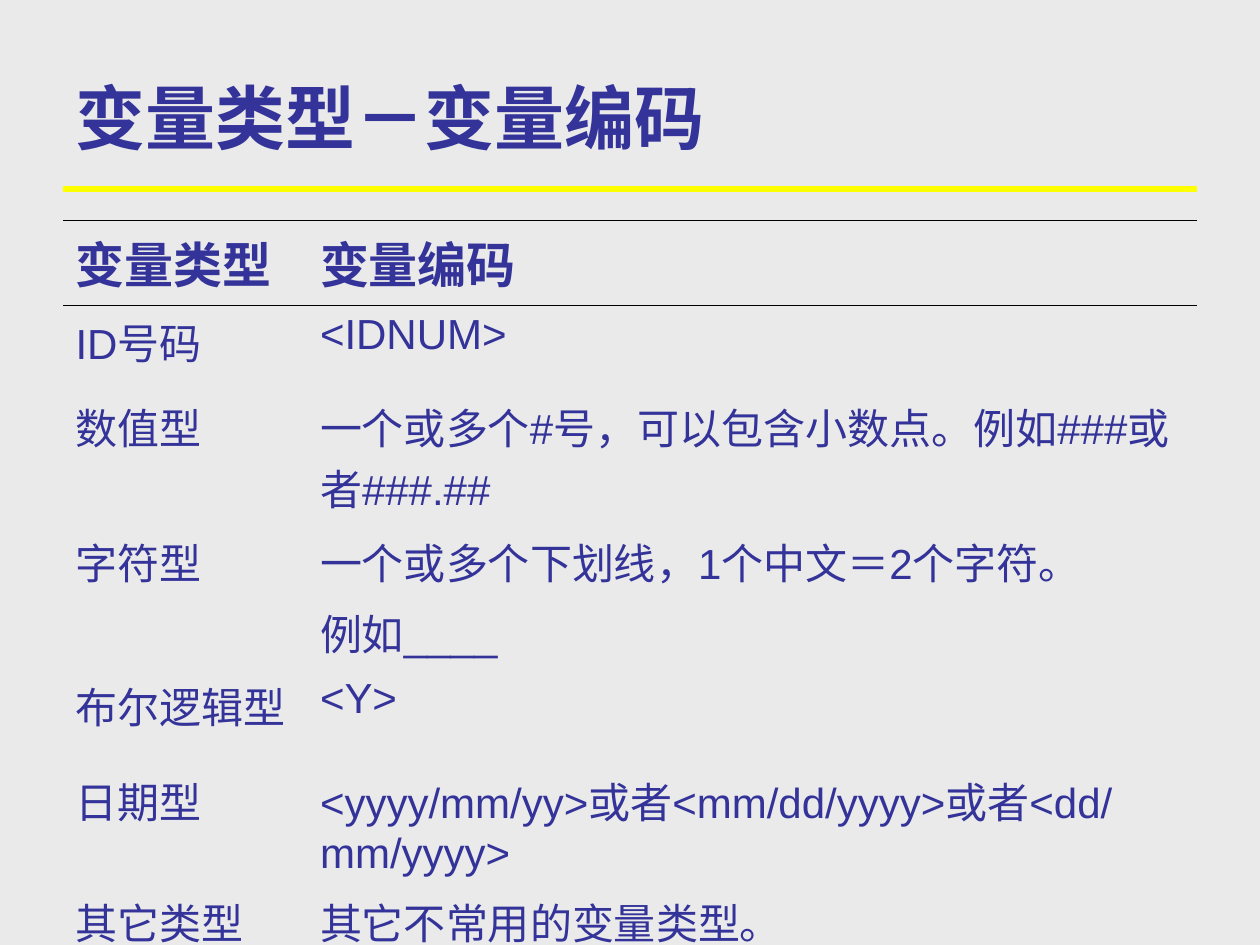
from dataclasses import dataclass

import pptx
import pptx.dml.color
import pptx.enum.shapes
import pptx.enum.text
import pptx.oxml
import pptx.oxml.ns
import pptx.util
from pptx.util import Inches


@dataclass(frozen=True)
class Theme:
    font: str = "Arial"
    background: str = "EAEAEA"
    text: str = "333399"
    rule: str = "FFFF00"
    border: str = "000000"
    title_size: int = 40
    header_size: int = 28
    body_size: int = 24
    paragraph_gap: int = 6
    rule_width: float = 3
    border_width: float = 0.45


THEME = Theme()
NO_GRID_STYLE = "{2D5ABB26-0587-4C30-8999-92F81FD0307C}"
COLUMN_WIDTHS = [1.94, 7.06]
ROW_HEIGHTS = [0.67, 0.67, 1.07, 1.15, 0.75, 0.96, 0.67]
ROWS = [
    ("变量类型", "变量编码"),
    ("ID号码", "<IDNUM>"),
    ("数值型", "一个或多个#号，可以包含小数点。例如###或者###.##"),
    ("字符型", "一个或多个下划线，1个中文＝2个字符。\n例如____"),
    ("布尔逻辑型", "<Y>"),
    ("日期型", "<yyyy/mm/yy>或者<mm/dd/yyyy>或者<dd/mm/yyyy>"),
    ("其它类型", "其它不常用的变量类型。"),
]


def rgb(value):
    return pptx.dml.color.RGBColor.from_string(value)


def set_text(text_frame, text, size, bold=False):
    text_frame.text = text
    for index, paragraph in enumerate(text_frame.paragraphs):
        if index:
            paragraph.space_before = pptx.util.Pt(THEME.paragraph_gap)
        for run in paragraph.runs:
            run.font.name = THEME.font
            run.font.size = pptx.util.Pt(size)
            run.font.bold = bold
            run.font.color.rgb = rgb(THEME.text)


def add_title(slide, text):
    title = slide.shapes.add_textbox(Inches(0.5), Inches(0.3), Inches(9), Inches(1.25))
    title.text_frame.word_wrap = True
    title.text_frame.vertical_anchor = pptx.enum.text.MSO_ANCHOR.MIDDLE
    set_text(title.text_frame, text, THEME.title_size, bold=True)


def add_rule(slide):
    rule = slide.shapes.add_connector(
        pptx.enum.shapes.MSO_CONNECTOR.STRAIGHT,
        Inches(0.5), Inches(1.5), Inches(9.5), Inches(1.5))
    rule.line.color.rgb = rgb(THEME.rule)
    rule.line.width = pptx.util.Pt(THEME.rule_width)
    properties = rule._element.spPr
    properties.append(properties.makeelement(pptx.oxml.ns.qn("a:effectLst"), {}))


def set_borders(cell, drawn_sides):
    """Draw the given sides and clear the others, ahead of the cell's fill."""
    properties = cell._tc.get_or_add_tcPr()
    solid = f'<a:solidFill><a:srgbClr val="{THEME.border}"/></a:solidFill>'
    for position, side in enumerate(("lnL", "lnR", "lnT", "lnB")):
        paint = solid if side in drawn_sides else "<a:noFill/>"
        border = pptx.oxml.parse_xml(
            f'<a:{side} {pptx.oxml.ns.nsdecls("a")} w="{pptx.util.Pt(THEME.border_width)}">'
            f'{paint}</a:{side}>')
        properties.insert(position, border)


def add_coding_table(slide):
    frame = slide.shapes.add_table(
        len(ROWS), len(COLUMN_WIDTHS), Inches(0.5), Inches(1.75),
        Inches(sum(COLUMN_WIDTHS)), Inches(sum(ROW_HEIGHTS)))
    table = frame.table
    table.horz_banding = False
    table._tbl.tblPr.find(pptx.oxml.ns.qn("a:tableStyleId")).text = NO_GRID_STYLE
    for column, width in zip(table.columns, COLUMN_WIDTHS):
        column.width = Inches(width)
    for row, height in zip(table.rows, ROW_HEIGHTS):
        row.height = Inches(height)

    borders = {0: ("lnT", "lnB"), 1: ("lnT",), len(ROWS) - 1: ("lnB",)}
    for row_index, texts in enumerate(ROWS):
        is_header = row_index == 0
        size = THEME.header_size if is_header else THEME.body_size
        for column_index, text in enumerate(texts):
            cell = table.cell(row_index, column_index)
            cell.fill.background()
            set_text(cell.text_frame, text, size, bold=is_header)
            set_borders(cell, borders.get(row_index, ()))


def main():
    presentation = pptx.Presentation()
    presentation.slide_width = Inches(10)
    presentation.slide_height = Inches(7.5)
    slide = presentation.slides.add_slide(presentation.slide_layouts[6])
    slide.background.fill.solid()
    slide.background.fill.fore_color.rgb = rgb(THEME.background)
    add_rule(slide)
    add_title(slide, "变量类型－变量编码")
    add_coding_table(slide)
    presentation.save("out.pptx")


if __name__ == "__main__":
    main()
